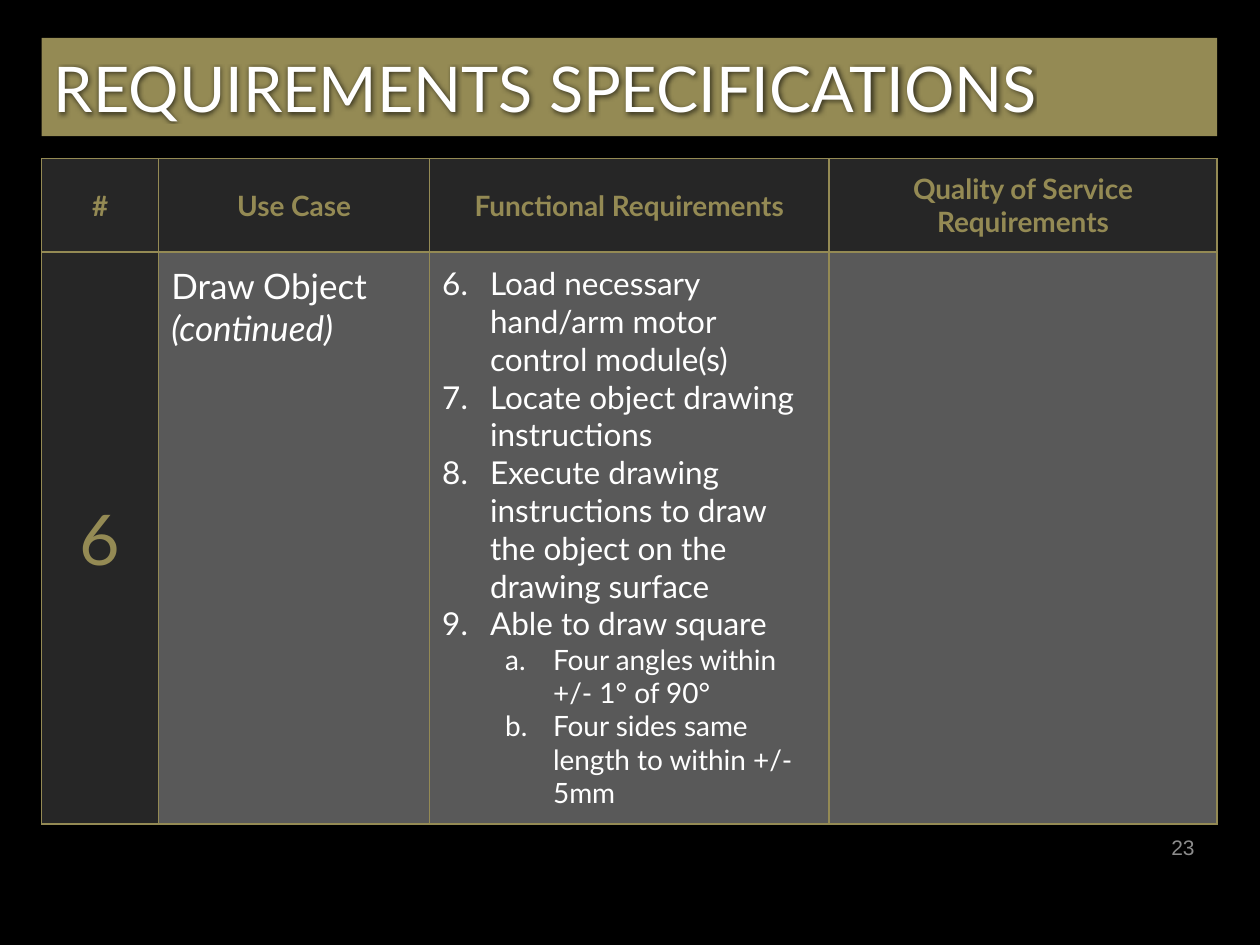
from lxml.etree import SubElement
from pptx import Presentation
from pptx.dml.color import RGBColor
from pptx.enum.shapes import MSO_SHAPE as Shape
from pptx.enum.text import MSO_ANCHOR as Anchor, PP_ALIGN as Align
from pptx.oxml import parse_xml
from pptx.oxml.ns import nsdecls, qn
from pptx.util import Inches, Pt

BLACK = RGBColor(0x00, 0x00, 0x00)
WHITE = RGBColor(0xFF, 0xFF, 0xFF)
GOLD = RGBColor(0x94, 0x8A, 0x54)
CHARCOAL = RGBColor(0x26, 0x26, 0x26)
GRAY = RGBColor(0x59, 0x59, 0x59)
NUMBER_GRAY = RGBColor(0x8C, 0x8C, 0x8C)

COLUMN_WIDTHS = (0.93, 2.15, 3.17, 3.08)
ROW_HEIGHTS = (0.74, 4.54)
HEADERS = ("#", "Use Case", "Functional Requirements", "Quality of Service Requirements")
REQUIREMENTS = (
    "Load necessary hand/arm motor control module(s)",
    "Locate object drawing instructions",
    "Execute drawing instructions to draw the object on the drawing surface",
    "Able to draw square",
)
SQUARE_LIMITS = (
    "Four angles within +/- 1° of 90°",
    "Four sides same length to within +/- 5mm",
)


def write(para, text, size, color, font="Lato", align=Align.LEFT, bold=False, italic=False):
    """Put one uniformly styled run in a paragraph and return the run."""
    span = para.add_run()
    span.text = text
    para.alignment = align
    para.font.name = font
    para.font.size = Pt(size)
    para.font.bold = bold
    para.font.italic = italic
    para.font.color.rgb = color
    return span


def number(para, scheme, start, margin, level=0):
    """Give a paragraph automatic numbering with a hanging indent."""
    para.level = level
    props = para._p.get_or_add_pPr()
    props.set("marL", str(Inches(margin)))
    props.set("indent", str(Inches(-0.38)))
    props.insert(0, parse_xml(f'<a:buAutoNum {nsdecls("a")} type="{scheme}" startAt="{start}"/>'))
    props.insert(0, parse_xml(f'<a:buFont {nsdecls("a")} typeface="+mj-lt"/>'))


def style_cell(cell, fill, anchor):
    """Set the fill, margins, anchor and gold borders of a cell."""
    cell.fill.solid()
    cell.fill.fore_color.rgb = fill
    cell.vertical_anchor = anchor
    cell.margin_left = cell.margin_right = Inches(0.1)
    cell.margin_top = cell.margin_bottom = Inches(0.1)
    props = cell._tc.get_or_add_tcPr()
    for index, side in enumerate("LRTB"):
        props.insert(index, parse_xml(
            f'<a:ln{side} {nsdecls("a")} w="{Pt(1)}"><a:solidFill>'
            f'<a:srgbClr val="{GOLD}"/></a:solidFill></a:ln{side}>'))


def add_block(page, kind, box, color):
    """Add a plain filled shape without outline or shadow."""
    block = page.shapes.add_shape(kind, *map(Inches, box))
    block.fill.solid()
    block.fill.fore_color.rgb = color
    block.line.fill.background()
    block.shadow.inherit = False
    return block


def add_title(page, box, text):
    """Add the gold title bar with dark-glowing white text."""
    bar = add_block(page, Shape.ROUNDED_RECTANGLE, box, GOLD)
    bar.adjustments[0] = 0
    bar.text_frame.vertical_anchor = Anchor.MIDDLE
    span = write(bar.text_frame.paragraphs[0], text, 36, WHITE)
    effects = SubElement(span._r.get_or_add_rPr(), qn("a:effectLst"))
    effects.append(parse_xml(
        f'<a:glow {nsdecls("a")} rad="{Pt(3)}"><a:srgbClr val="{BLACK}">'
        '<a:alpha val="60000"/></a:srgbClr></a:glow>'))


def fill_requirements(frame):
    """Write the numbered requirements and their lettered limits."""
    items = [(text, 18, "arabicPeriod", 6, 0.38, 0) for text in REQUIREMENTS]
    items += [(text, 16, "alphaLcPeriod", 1, 0.88, 1) for text in SQUARE_LIMITS]
    for index, (text, size, scheme, start, margin, level) in enumerate(items):
        para = frame.add_paragraph() if index else frame.paragraphs[0]
        write(para, text, size, WHITE)
        number(para, scheme, start, margin, level)


def add_requirements_table(page, box):
    """Add the table with its header row and the row of use case 6."""
    frame = page.shapes.add_table(len(ROW_HEIGHTS), len(COLUMN_WIDTHS), *map(Inches, box))
    table = frame.table
    table.first_row = table.horz_banding = False
    for column, width in zip(table.columns, COLUMN_WIDTHS):
        column.width = Inches(width)
    for row, height in zip(table.rows, ROW_HEIGHTS):
        row.height = Inches(height)
    for index, header in enumerate(HEADERS):
        head, body = table.cell(0, index), table.cell(1, index)
        style_cell(head, CHARCOAL, Anchor.MIDDLE)
        style_cell(body, GRAY if index else CHARCOAL, Anchor.TOP if index else Anchor.MIDDLE)
        write(head.text_frame.paragraphs[0], header, 16, GOLD, align=Align.CENTER, bold=True)
    number_cell, use_case, functional = [table.cell(1, index).text_frame for index in range(3)]
    write(number_cell.paragraphs[0], "6", 40, GOLD, align=Align.CENTER)
    write(use_case.paragraphs[0], "Draw Object", 20, WHITE)
    write(use_case.add_paragraph(), "(continued)", 20, WHITE, italic=True)
    fill_requirements(functional)


def add_page_number(page, box, text):
    """Add the right-aligned page number."""
    frame = page.shapes.add_textbox(*map(Inches, box)).text_frame
    frame.word_wrap = True
    frame.vertical_anchor = Anchor.MIDDLE
    write(frame.paragraphs[0], text, 12, NUMBER_GRAY, font="Arial", align=Align.RIGHT)


def main():
    """Build the requirements slide and save the deck."""
    deck = Presentation()
    deck.slide_width, deck.slide_height = Inches(10), Inches(7.5)
    page = deck.slides.add_slide(deck.slide_layouts[6])
    page.background.fill.solid()
    page.background.fill.fore_color.rgb = BLACK
    add_block(page, Shape.RECTANGLE, (0, 6.75, 10, 0.75), BLACK)
    add_requirements_table(page, (0.33, 1.26, 9.33, 5.28))
    add_title(page, (0.33, 0.3, 9.33, 0.78), "REQUIREMENTS SPECIFICATIONS")
    add_page_number(page, (7.25, 6.52, 2.33, 0.4), "23")
    deck.save("out.pptx")


if __name__ == "__main__":
    main()
